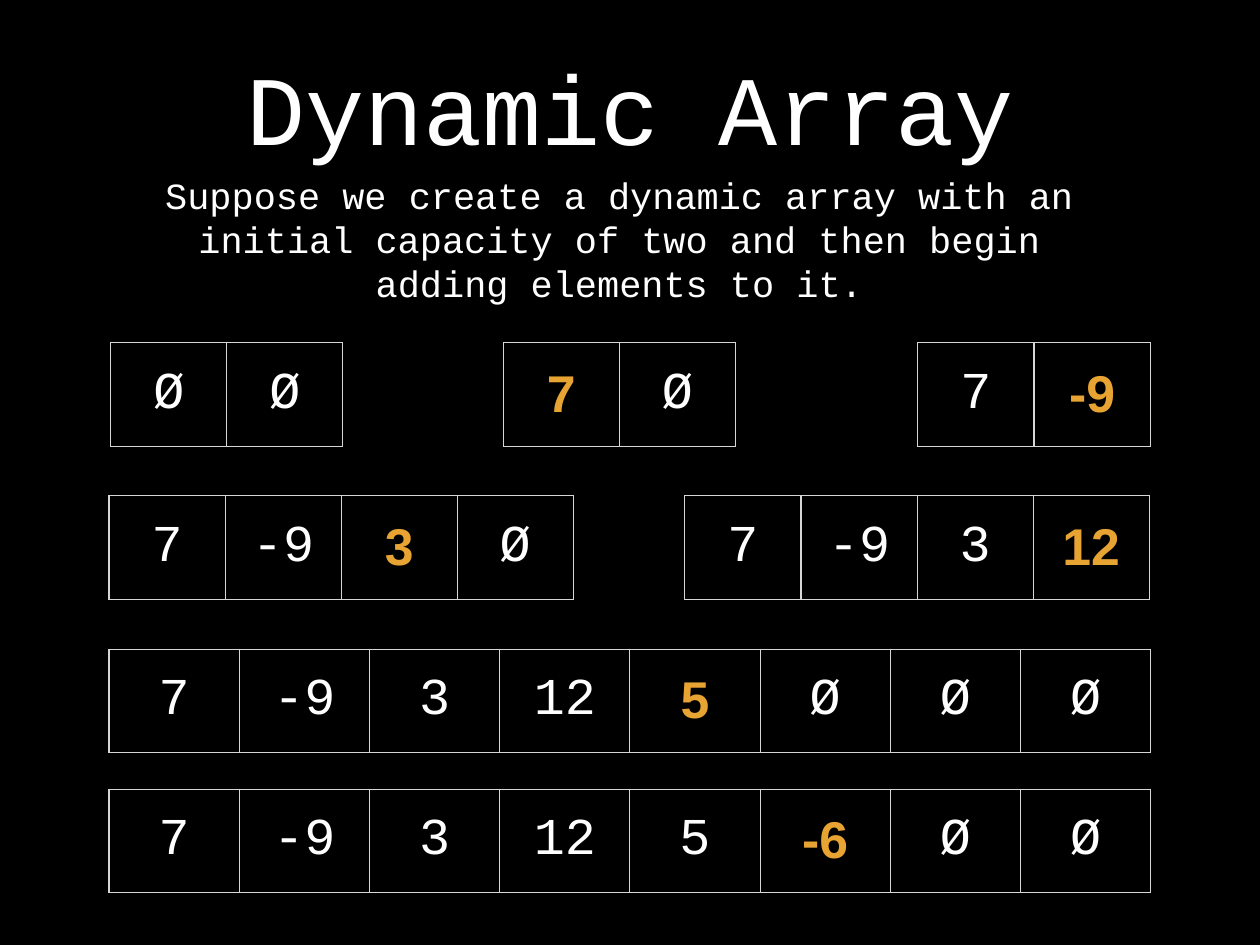
import pptx
import pptx.dml.color
import pptx.enum.text
import pptx.oxml.ns
import pptx.util
from lxml import etree
from pptx.util import Inches

COLORS = {"background": "000000", "text": "FFFFFF", "added": "E8A432", "border": "D6D6D6"}
MONO = "Courier New"
BOLD = "Arial"
EMPTY = "Ø"
INSET = Inches(0.06)
ROW_HEIGHT = 1.17

# Elements in the order they are added
ELEMENTS = ["7", "-9", "3", "12", "5", "-6"]

# Array states: left, top, cell width, capacity, number of elements
STATES = [
    (1.25, 3.87, 1.31, 2, 0),
    (5.68, 3.87, 1.31, 2, 1),
    (10.36, 3.87, 1.31, 2, 2),
    (1.23, 5.6, 1.31, 4, 3),
    (7.73, 5.6, 1.31, 4, 4),
    (1.23, 7.33, 1.47, 8, 5),
    (1.23, 8.91, 1.47, 8, 6),
]


def rgb(name):
    return pptx.dml.color.RGBColor.from_string(COLORS[name])


def write(paragraph, text, size, font_name=MONO, color="text", bold=False):
    paragraph.text = text
    paragraph.alignment = pptx.enum.text.PP_ALIGN.CENTER
    paragraph.font.size = pptx.util.Pt(size)
    paragraph.font.name = font_name
    paragraph.font.bold = bold
    paragraph.font.color.rgb = rgb(color)


def set_insets(holder):
    holder.margin_left = holder.margin_right = INSET
    holder.margin_top = holder.margin_bottom = INSET
    holder.vertical_anchor = pptx.enum.text.MSO_ANCHOR.MIDDLE


def add_text(slide, box, text, size):
    frame = slide.shapes.add_textbox(*map(Inches, box)).text_frame
    frame.word_wrap = True
    set_insets(frame)
    write(frame.paragraphs[0], text, size)


def add_borders(cell):
    properties = cell._tc.get_or_add_tcPr()
    qn = pptx.oxml.ns.qn
    for side in ("a:lnL", "a:lnR", "a:lnT", "a:lnB"):
        line = etree.SubElement(properties, qn(side), w=str(pptx.util.Pt(1)))
        fill = etree.SubElement(line, qn("a:solidFill"))
        etree.SubElement(fill, qn("a:srgbClr"), val=COLORS["border"])


def add_array(slide, left, top, cell_width, capacity, count):
    """Draw one array state; its newest element is highlighted."""
    box = (left, top, cell_width * capacity, ROW_HEIGHT)
    array = slide.shapes.add_table(1, capacity, *map(Inches, box)).table
    array.first_row = array.horz_banding = False
    values = ELEMENTS[:count] + [EMPTY] * (capacity - count)
    for index, value in enumerate(values):
        array.columns[index].width = Inches(cell_width)
        cell = array.cell(0, index)
        set_insets(cell)
        add_borders(cell)
        cell.fill.background()
        paragraph = cell.text_frame.paragraphs[0]
        if index == count - 1:
            write(paragraph, value, 42, BOLD, "added", True)
        else:
            write(paragraph, value, 42)


def main():
    deck = pptx.Presentation()
    deck.slide_width = Inches(14.22)
    deck.slide_height = Inches(10.67)
    slide = deck.slides.add_slide(deck.slide_layouts[6])
    slide.background.fill.solid()
    slide.background.fill.fore_color.rgb = rgb("background")

    # Heading and introduction
    add_text(slide, (2.6, 0.39, 9.03, 1.61), "Dynamic Array", 80)
    add_text(
        slide,
        (1.63, 1.91, 10.72, 1.57),
        "Suppose we create a dynamic array with an initial capacity of two "
        "and then begin adding elements to it.",
        30,
    )

    # Growing array
    for state in STATES:
        add_array(slide, *state)

    deck.save("out.pptx")


if __name__ == "__main__":
    main()
